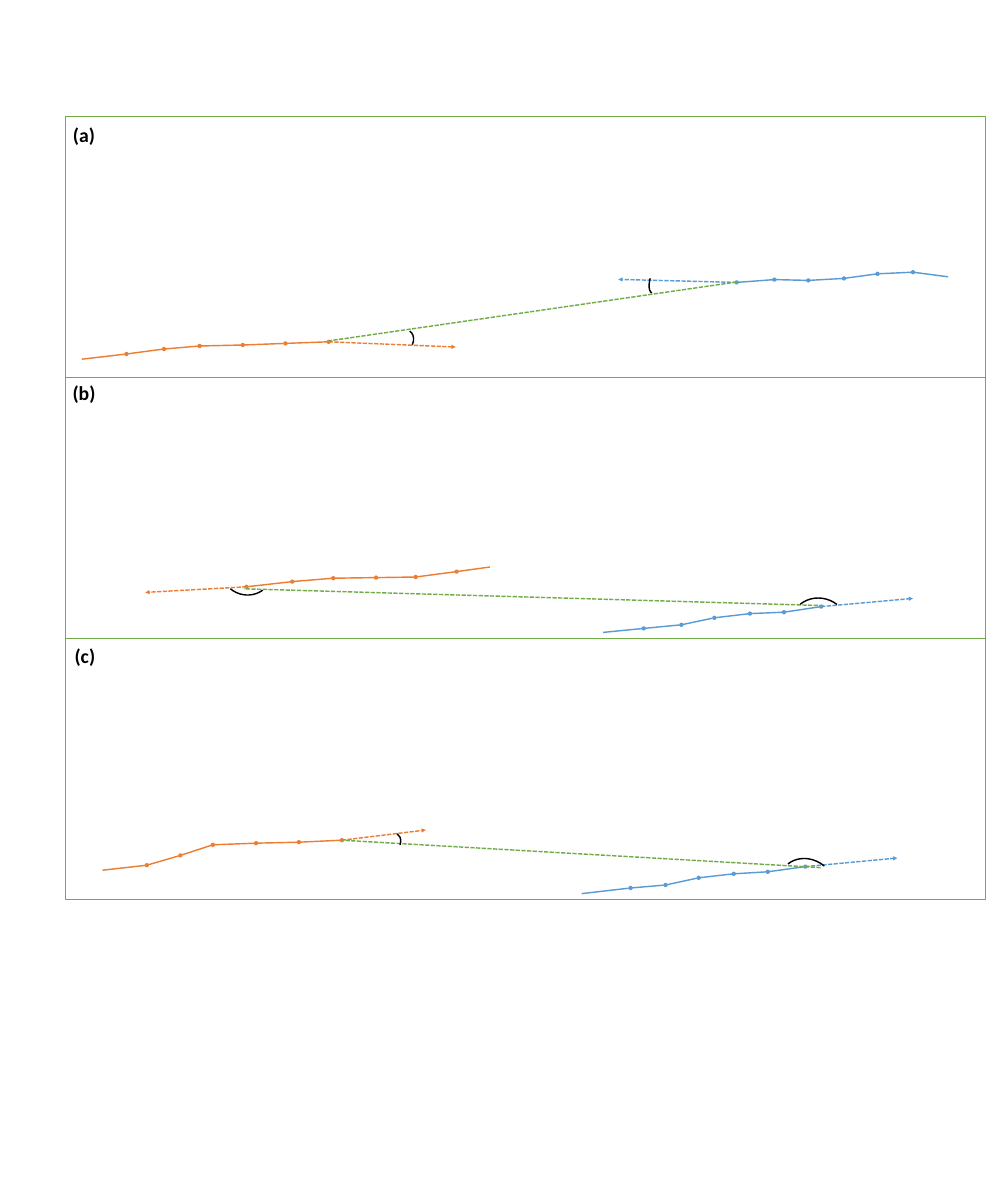
"""Draw three panels comparing the facing angles of two tracks."""
import pptx
import pptx.dml.color
import pptx.enum.dml
import pptx.enum.shapes
import pptx.oxml
import pptx.oxml.ns
import pptx.util
from pptx.util import Cm

ORANGE, BLUE, GREEN, BLACK = "ED7D31", "5B9BD5", "70AD47", "000000"
FONT = "Calibri"
FRAME_LEFT, FRAME_TOP, FRAME_WIDTH, FRAME_HEIGHT = 3.28, 5.84, 46, 13.05
ARC_ANGLES = (162, 206.707)

PANELS = [
    {
        "label": ("(a)", 3.40, 6.02, 3.18),
        "tracks": [
            (ORANGE, (22.78, 17.35), [
                (16.43, 17.09), (14.27, 17.17), (12.14, 17.25), (9.98, 17.30),
                (8.20, 17.45), (6.32, 17.70), (4.09, 17.96)]),
            (BLUE, (30.91, 13.97), [
                (36.83, 14.12), (38.71, 13.98), (40.41, 14.02), (42.19, 13.92),
                (43.87, 13.69), (45.64, 13.61), (47.40, 13.84)]),
        ],
        "gap": ((36.83, 14.10), (16.46, 17.04)),
        "arcs": [(19.66, 16.46, 0.97, 1.27, 32), (32.51, 13.18, 0.61, 1.50, 197.7)],
    },
    {
        "label": ("(b)", 3.38, 18.92, 3.68),
        "tracks": [
            (ORANGE, (7.26, 29.62), [
                (12.32, 29.34), (14.61, 29.08), (16.66, 28.91), (18.80, 28.88),
                (20.78, 28.85), (22.83, 28.58), (24.49, 28.35)]),
            (BLUE, (45.64, 29.92), [
                (41.05, 30.33), (39.19, 30.61), (37.49, 30.68), (35.71, 30.89),
                (34.06, 31.24), (32.18, 31.42), (30.15, 31.62)]),
        ],
        "gap": ((41.17, 30.28), (12.19, 29.44)),
        "arcs": [(11.02, 27.05, 2.62, 2.72, 143.8), (39.50, 29.87, 2.95, 3.10, 321.3)],
    },
    {
        "label": ("(c)", 3.48, 32.05, 3.78),
        "tracks": [
            (ORANGE, (21.29, 41.50), [
                (17.09, 42.01), (14.94, 42.11), (12.80, 42.16), (10.64, 42.24),
                (9.02, 42.77), (7.34, 43.26), (5.13, 43.51)]),
            (BLUE, (44.86, 42.90), [
                (40.26, 43.33), (38.38, 43.59), (36.68, 43.69), (34.93, 43.89),
                (33.27, 44.25), (31.52, 44.40), (29.08, 44.68)]),
        ],
        "gap": ((41.02, 43.38), (17.07, 42.01)),
        "arcs": [(19.15, 41.61, 0.86, 1.02, 32), (38.99, 42.85, 2.79, 3.18, 321.3)],
    },
]


def rgb(color):
    return pptx.dml.color.RGBColor.from_string(color)


def style_line(line, color, width):
    line.color.rgb = rgb(color)
    line.width = pptx.util.Pt(width)


def add_line(slide, start, end, color, dashed=False, head=None, tail=None):
    connector = slide.shapes.add_connector(
        pptx.enum.shapes.MSO_CONNECTOR.STRAIGHT,
        *(Cm(value) for value in (*start, *end)))
    style_line(connector.line, color, 2)
    if dashed:
        connector.line.dash_style = pptx.enum.dml.MSO_LINE.SQUARE_DOT
    properties = connector.element.spPr
    outline = properties.find(pptx.oxml.ns.qn("a:ln"))
    for tag, kind in (("headEnd", head), ("tailEnd", tail)):
        if kind:
            outline.append(pptx.oxml.parse_xml(
                f'<a:{tag} {pptx.oxml.ns.nsdecls("a")} type="{kind}"/>'))
    properties.append(pptx.oxml.parse_xml(
        f'<a:effectLst {pptx.oxml.ns.nsdecls("a")}/>'))


def add_outline(slide, kind, box, color, width):
    shape = slide.shapes.add_shape(kind, *(Cm(value) for value in box))
    shape.shadow.inherit = False
    shape.fill.background()
    style_line(shape.line, color, width)
    return shape


def add_text(slide, text, *, left, top, width, height=1.45, size=28,
             color=BLACK, bold=True):
    box = slide.shapes.add_textbox(Cm(left), Cm(top), Cm(width), Cm(height))
    box.text_frame.word_wrap = True
    paragraph = box.text_frame.paragraphs[0]
    paragraph.text = text
    font = paragraph.runs[0].font
    font.name, font.size, font.bold = FONT, pptx.util.Pt(size), bold
    font.color.rgb = rgb(color)


def add_panel(slide, index, panel):
    frame = (FRAME_LEFT, FRAME_TOP + index * FRAME_HEIGHT, FRAME_WIDTH, FRAME_HEIGHT)
    add_outline(slide, pptx.enum.shapes.MSO_SHAPE.RECTANGLE, frame, GREEN, 1.5)
    for color, heading, points in panel["tracks"]:
        for start, end in zip(points, points[1:]):
            add_line(slide, start, end, color, head="oval")
        add_line(slide, points[0], heading, color, dashed=True, tail="triangle")
    add_line(slide, *panel["gap"], GREEN, dashed=True)
    for *box, rotation in panel["arcs"]:
        arc = add_outline(slide, pptx.enum.shapes.MSO_SHAPE.ARC, box, BLACK, 2)
        arc.adjustments[0], arc.adjustments[1] = ARC_ANGLES
        arc.rotation = rotation
    text, left, top, width = panel["label"]
    add_text(slide, text, left=left, top=top, width=width)


def main():
    presentation = pptx.Presentation()
    presentation.slide_width, presentation.slide_height = Cm(50.04), Cm(60.2)
    slide = presentation.slides.add_slide(presentation.slide_layouts[6])
    for index, panel in enumerate(PANELS):
        add_panel(slide, index, panel)
    presentation.save("out.pptx")


if __name__ == "__main__":
    main()
